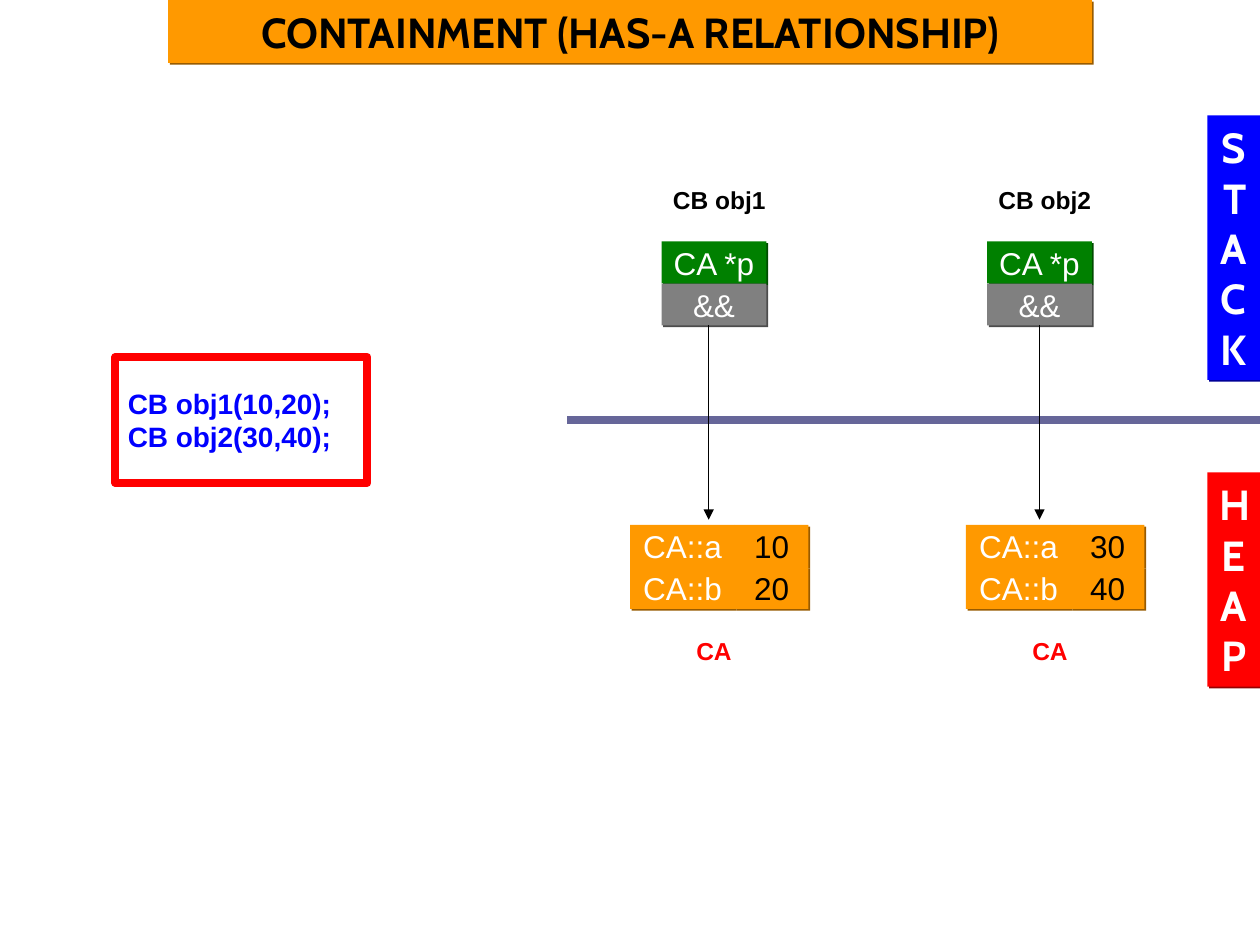
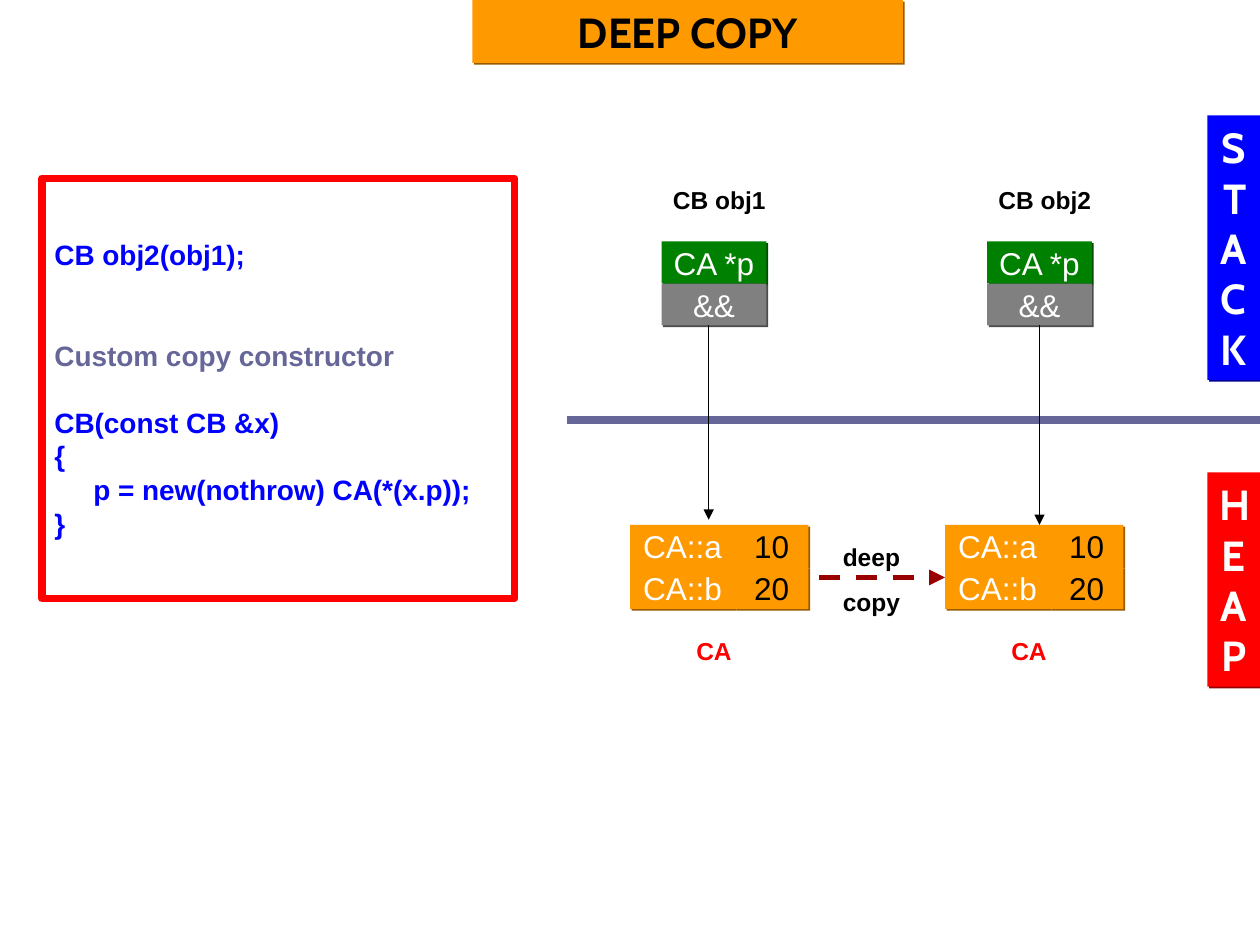
from lxml.etree import SubElement
from pptx import Presentation
from pptx.dml.color import RGBColor
from pptx.enum.dml import MSO_LINE
from pptx.enum.shapes import MSO_CONNECTOR, MSO_SHAPE
from pptx.enum.text import MSO_ANCHOR, MSO_AUTO_SIZE, PP_ALIGN
from pptx.oxml.ns import qn
from pptx.util import Pt

PX = 7620
BLACK, WHITE, RED, BLUE = "000000", "FFFFFF", "FF0000", "0000FF"
ORANGE, GREEN, GRAY, SLATE, MAROON = "FF9900", "008000", "808080", "666699", "990000"

BANNER = {"name": "Cabin", "size": Pt(24), "bold": True}
CELL = {"name": "Arial", "size": Pt(18), "bold": False}
LABEL = {"name": "Arial", "size": Pt(14), "bold": True}
CODE = {"name": "Arial", "size": Pt(16), "bold": True}
GROW = {"word_wrap": True, "auto_size": MSO_AUTO_SIZE.SHAPE_TO_FIT_TEXT,
        "vertical_anchor": MSO_ANCHOR.TOP}
FIXED = {"word_wrap": False, "auto_size": MSO_AUTO_SIZE.NONE,
         "vertical_anchor": MSO_ANCHOR.MIDDLE}
CENTER = {"alignment": PP_ALIGN.CENTER}
CODE_LINE = 19.2

POINTER_XS = (630, 940)
ARROW_XS = (675, 990)
POINTER_Y, DIVIDER_Y, HEAP_Y = 230, 400, 500
ROW_H, KEY_W, VALUE_W = 40, 100, 70


def rgb(color):
    """Turn a hex string into a colour."""
    return RGBColor.from_string(color)


def assign(obj, values):
    """Set each attribute of obj that values names."""
    for key, value in values.items():
        setattr(obj, key, value)


def emu(*lengths):
    """Scale px lengths to EMU."""
    return [n * PX for n in lengths]


def write(p, text, font, color, layout):
    """Put one run of text into a paragraph."""
    assign(p, layout)
    r = p.add_run()
    r.text = text
    assign(r.font, font)
    r.font.color.rgb = rgb(color)


def rect(s, box, fill):
    """Add a plain filled rectangle."""
    sp = s.shapes.add_shape(MSO_SHAPE.RECTANGLE, *emu(*box))
    sp.shadow.inherit = False
    sp.fill.solid()
    sp.fill.fore_color.rgb = rgb(fill)
    sp.line.fill.background()
    return sp


def block(s, box, text, fill, color, font=CELL, frame=FIXED, before=0):
    """Add a filled rectangle with centred text and a thin darker shadow."""
    sp = rect(s, box, fill)
    shade = "".join(f"{int(v * 0.598):02X}" for v in rgb(fill))
    effects = sp._element.spPr.find(qn("a:effectLst"))
    shadow = SubElement(effects, qn("a:outerShdw"), dist="17960", dir="2700000",
                        algn="ctr", rotWithShape="0")
    SubElement(shadow, qn("a:srgbClr"), val=shade)
    assign(sp.text_frame, frame)
    write(sp.text_frame.paragraphs[0], text, font, color,
          {**CENTER, "space_before": Pt(before)})


def banner(s, box, text, fill, color):
    """Add a heading block in the banner style."""
    block(s, box, text, fill, color, BANNER, GROW, 15)


def label(s, box, lines, color=BLACK):
    """Add a centred bold caption of one or more lines."""
    tf = s.shapes.add_textbox(*emu(*box)).text_frame
    assign(tf, GROW)
    for i, text in enumerate(lines):
        p = tf.add_paragraph() if i else tf.paragraphs[0]
        write(p, text, LABEL, color, {**CENTER, "space_before": Pt(8.8)})


def line(s, start, end, color, width, arrow=True, dash=None):
    """Add a straight line, with an arrowhead at its end if asked."""
    c = s.shapes.add_connector(MSO_CONNECTOR.STRAIGHT, *emu(*start, *end))
    c.line.color.rgb = rgb(color)
    assign(c.line, {"width": Pt(width), "dash_style": dash})
    if arrow:
        SubElement(c.line._get_or_add_ln(), qn("a:tailEnd"), type="triangle")
    SubElement(c._element.spPr, qn("a:effectLst"))


def pointer(s, x, y, name):
    """Draw a stack object: its caption, member and address."""
    label(s, (x - 10, y - 60, 130, 41), [name])
    for row, (text, fill) in enumerate((("CA *p", GREEN), ("&&", GRAY))):
        block(s, (x, y + row * ROW_H, KEY_W, ROW_H), text, fill, WHITE)


def heap_object(s, x, y, values):
    """Draw a heap object: its members, their values and its class."""
    for row, (member, value) in enumerate(zip("ab", values)):
        top = y + row * ROW_H
        block(s, (x, top, KEY_W, ROW_H), f"CA::{member}", ORANGE, WHITE)
        block(s, (x + KEY_W, top, VALUE_W, ROW_H), value, ORANGE, BLACK)
    label(s, (x + 30, y + 100, 100, 41), ["CA"], RED)


def code_panel(s, box, lines):
    """Draw a red frame of code; a line is text, colour, blank lines above, indent."""
    sp = rect(s, box, WHITE)
    sp.line.color.rgb = rgb(RED)
    sp.line.width = Pt(4.5)
    tf = sp.text_frame
    assign(tf, {**FIXED, "word_wrap": True})
    for i, (text, color, gap, indent) in enumerate(lines):
        p = tf.add_paragraph() if i else tf.paragraphs[0]
        write(p, text, CODE, color, {"alignment": PP_ALIGN.LEFT,
                                     "space_before": Pt(gap * CODE_LINE)})
        p._p.get_or_add_pPr().set("marL", str(indent * PX))


def memory_slide(prs, title, title_x, title_w, heaps, arrow_ends):
    """Add a slide with the title, the stack and heap areas and their objects."""
    s = prs.slides.add_slide(prs.slide_layouts[6])
    banner(s, (title_x, 0, title_w, 60), title, ORANGE, BLACK)
    banner(s, (1150, 110, 50, 252), "STACK", BLUE, WHITE)
    banner(s, (1150, 450, 50, 204), "HEAP", RED, WHITE)
    line(s, (540, DIVIDER_Y), (1200, DIVIDER_Y), SLATE, 4.5, arrow=False)
    for i, (x, values) in enumerate(heaps):
        pointer(s, POINTER_XS[i], POINTER_Y, f"CB obj{i + 1}")
        heap_object(s, x, HEAP_Y, values)
        line(s, (ARROW_XS[i], POINTER_Y + 2 * ROW_H), (ARROW_XS[i], arrow_ends[i]),
             BLACK, 0.75)
    return s


def containment_slide(prs):
    """Show two objects that each hold their own data."""
    s = memory_slide(prs, "CONTAINMENT (HAS-A RELATIONSHIP)", 160, 880,
                     [(600, ("10", "20")), (920, ("30", "40"))], (495, 495))
    code_panel(s, (110, 340, 240, 120), [("CB obj1(10,20);", BLUE, 0, 0),
                                         ("CB obj2(30,40);", BLUE, 0, 0)])


def deep_copy_slide(prs):
    """Show the heap data copied for the second object."""
    s = memory_slide(prs, "DEEP COPY", 450, 410,
                     [(600, ("10", "20")), (900, ("10", "20"))], (495, 500))
    code_panel(s, (40, 170, 450, 400), [
        ("CB obj2(obj1);", BLUE, 0, 0),
        ("Custom copy constructor", SLATE, 2, 0),
        ("CB(const CB &x)", BLUE, 1, 0),
        ("{", BLUE, 0, 0),
        ("p = new(nothrow) CA(*(x.p));", BLUE, 0, 37),
        ("}", BLUE, 0, 0)])
    line(s, (780, 550), (900, 550), MAROON, 3, dash=MSO_LINE.DASH)
    label(s, (770, 510, 120, 83), ["deep", "copy"])


def main():
    """Build and save the slides."""
    prs = Presentation()
    assign(prs, {"slide_width": 1200 * PX, "slide_height": 900 * PX})
    containment_slide(prs)
    deep_copy_slide(prs)
    prs.save("out.pptx")


if __name__ == "__main__":
    main()
